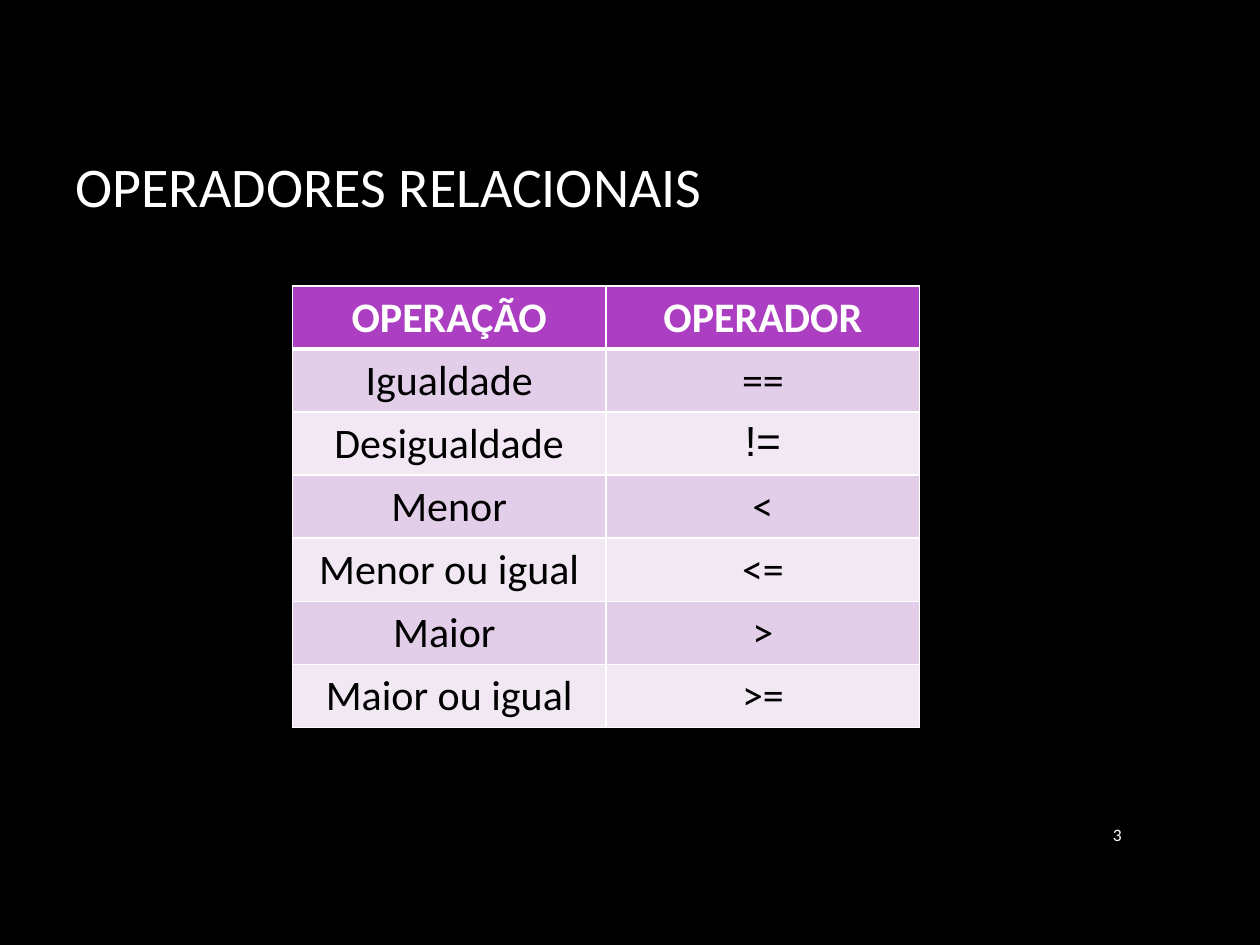
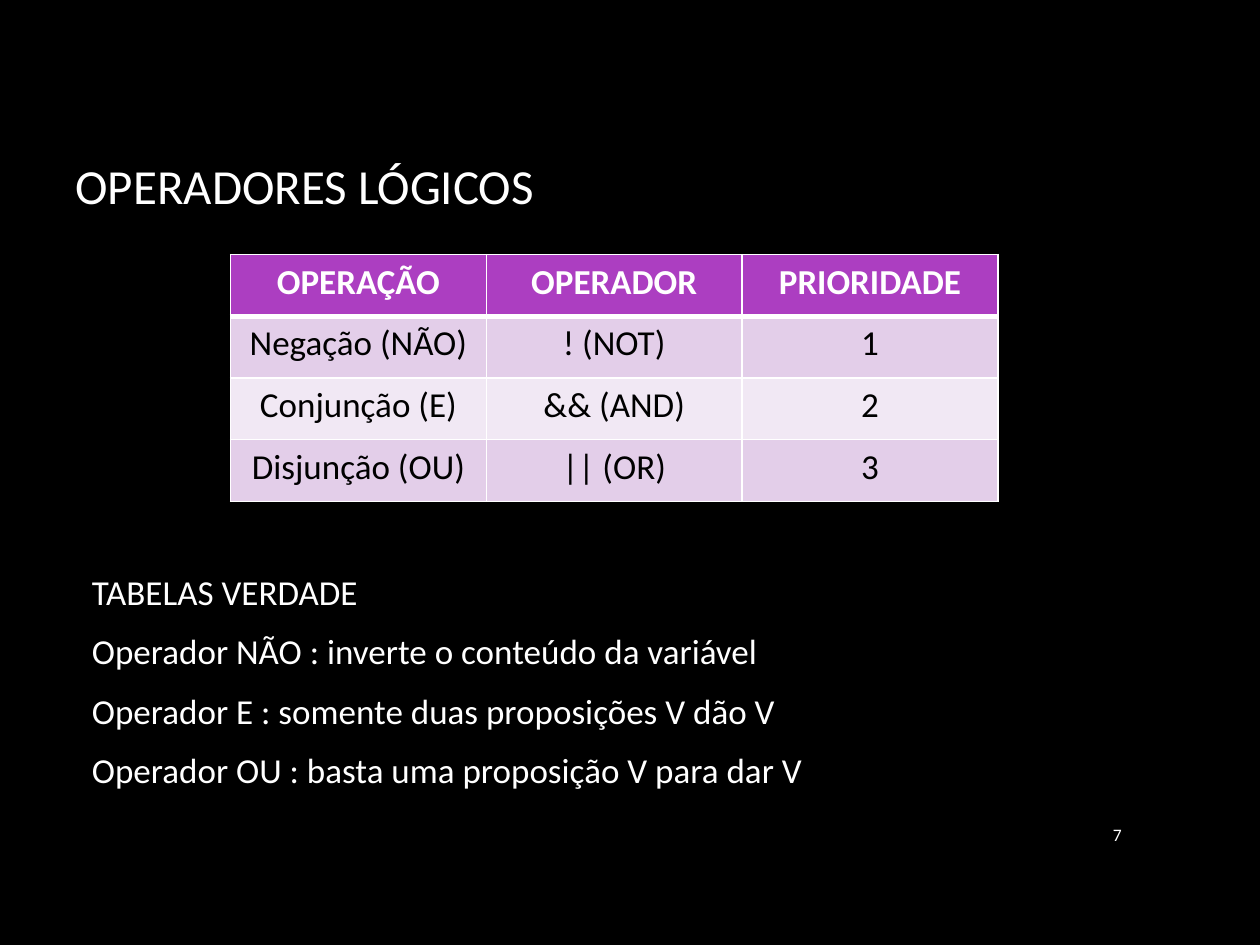
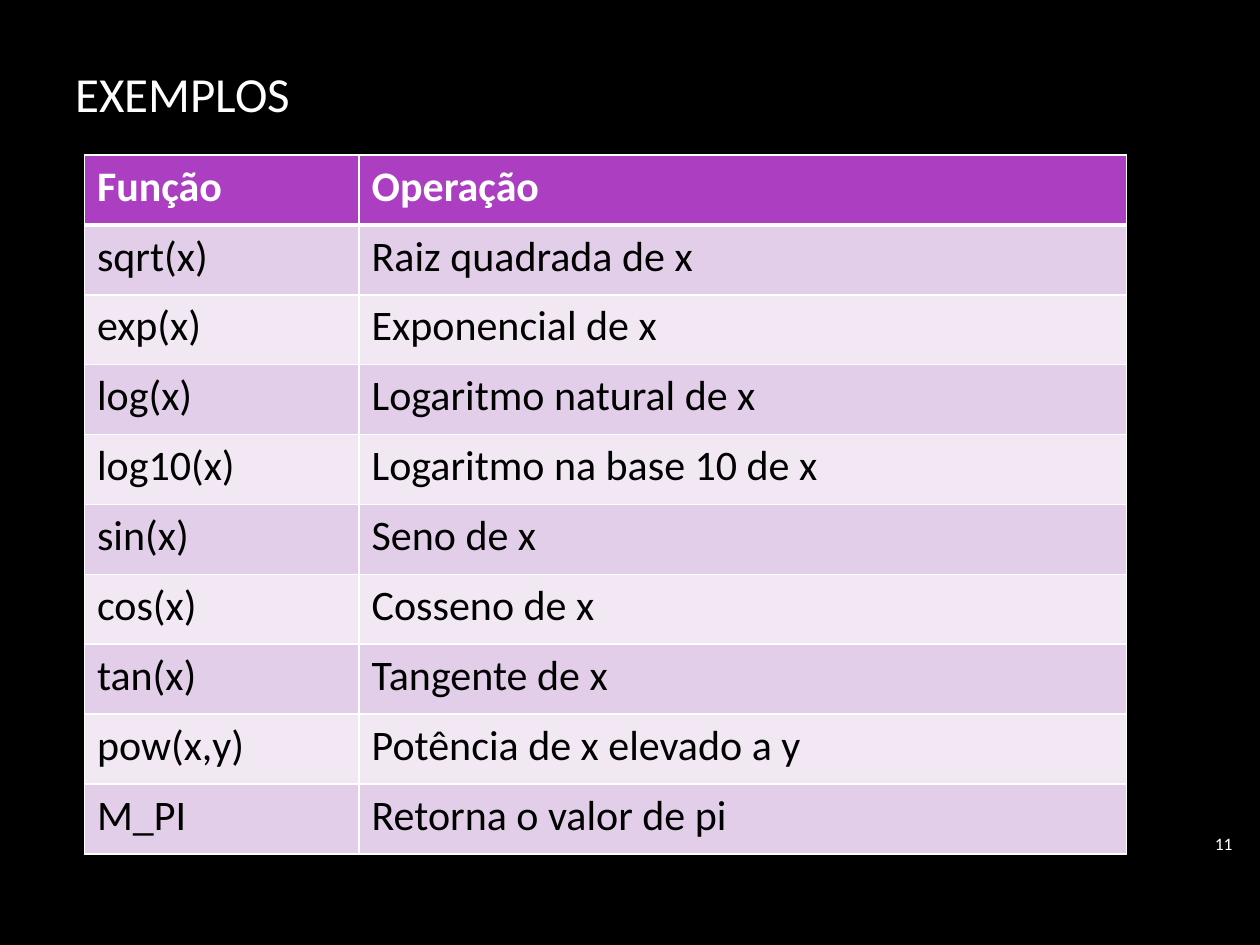
from lxml import etree
from pptx import Presentation
from pptx.dml.color import RGBColor
from pptx.enum.text import MSO_ANCHOR, PP_ALIGN
from pptx.oxml.ns import qn
from pptx.util import Inches, Pt

# Shared look
FONT = "Calibri"
BLACK, WHITE = "000000", "FFFFFF"
HEADER_FILL = "AC3EC1"
BAND_FILLS = ("E3CEE9", "F1E8F4")
GRID_PT, HEADER_RULE_PT = 1, 3
TITLE_BOX = (0.5, 0.67, 8.5, 1.59)


def rgb(value):
    return RGBColor.from_string(value)


def add_run(p, text, size, color=WHITE, bold=False, font=FONT):
    r = p.add_run()
    r.text = text
    r.font.name = font
    r.font.size = Pt(size)
    r.font.bold = bold
    r.font.color.rgb = rgb(color)


def add_slide(prs, title, size=28, box=TITLE_BOX):
    s = prs.slides.add_slide(prs.slide_layouts[5])
    sp = s.shapes.title
    sp.left, sp.top, sp.width, sp.height = map(Inches, box)
    tf = sp.text_frame
    tf.vertical_anchor = MSO_ANCHOR.MIDDLE
    p = tf.paragraphs[0]
    p.alignment = PP_ALIGN.LEFT
    add_run(p, title, size)
    return s


def add_text_box(s, box):
    tf = s.shapes.add_textbox(*map(Inches, box)).text_frame
    tf.word_wrap = True
    tf.vertical_anchor = MSO_ANCHOR.MIDDLE
    return tf


def add_page_number(s, number, left=8.54, top=6.42):
    p = add_text_box(s, (left, top, 0.46, 0.41)).paragraphs[0]
    p.alignment = PP_ALIGN.RIGHT
    add_run(p, str(number), 10)


def add_paragraphs(s, lines, box, size):
    tf = add_text_box(s, box)
    for i, line in enumerate(lines):
        p = tf.add_paragraph() if i else tf.paragraphs[0]
        p.space_after = Pt(10)
        pPr = p._p.get_or_add_pPr()
        pPr.set("marL", "0")
        pPr.set("indent", str(Inches(0.04)))
        add_run(p, line, size)


def set_borders(cell, top, bottom):
    """Draw white cell edges; the fill must come after them in the XML."""
    tcPr = cell._tc.get_or_add_tcPr()
    widths = {"a:lnL": GRID_PT, "a:lnR": GRID_PT, "a:lnT": top, "a:lnB": bottom}
    for i, (tag, width) in enumerate(widths.items()):
        ln = etree.Element(qn(tag), w=str(Pt(width)))
        fill = etree.SubElement(ln, qn("a:solidFill"))
        etree.SubElement(fill, qn("a:srgbClr"), val=WHITE)
        tcPr.insert(i, ln)


def add_grid(s, rows, left, top, col_widths, row_height, size,
             align=PP_ALIGN.CENTER, fonts=None):
    """Add a banded table; fonts maps a cell text to a font other than FONT."""
    fonts = fonts or {}
    table = s.shapes.add_table(
        len(rows), len(col_widths), Inches(left), Inches(top),
        Inches(sum(col_widths)), Inches(row_height * len(rows))).table
    table.horz_banding = False
    for column, width in zip(table.columns, col_widths):
        column.width = Inches(width)
    for i, row in enumerate(rows):
        header = i == 0
        table.rows[i].height = Inches(row_height)
        for j, text in enumerate(row):
            cell = table.cell(i, j)
            cell.fill.solid()
            fill = HEADER_FILL if header else BAND_FILLS[(i - 1) % 2]
            cell.fill.fore_color.rgb = rgb(fill)
            set_borders(cell,
                        top=HEADER_RULE_PT if i == 1 else GRID_PT,
                        bottom=HEADER_RULE_PT if header else GRID_PT)
            p = cell.text_frame.paragraphs[0]
            p.alignment = align
            add_run(p, text, size, WHITE if header else BLACK, header,
                    fonts.get(text, FONT))


def relational_operators(prs):
    s = add_slide(prs, "OPERADORES RELACIONAIS", size=32)
    add_page_number(s, 3)
    rows = [
        ("OPERAÇÃO", "OPERADOR"),
        ("Igualdade", "=="),
        ("Desigualdade", "!="),
        ("Menor", "<"),
        ("Menor ou igual", "<="),
        ("Maior ", ">"),
        ("Maior ou igual", ">="),
    ]
    add_grid(s, rows, 2.32, 2.27, [2.49] * 2, 0.5, 24, fonts={"!=": "Arial"})


def logical_operators(prs):
    s = add_slide(prs, "OPERADORES LÓGICOS")
    lines = [
        "TABELAS VERDADE",
        "Operador NÃO : inverte o conteúdo da variável",
        "Operador E : somente duas proposições V dão V",
        "Operador OU : basta uma proposição V para dar V",
    ]
    add_paragraphs(s, lines, (0.59, 4.13, 8.82, 2.54), 20)
    add_page_number(s, 7)
    rows = [
        ("OPERAÇÃO", "OPERADOR", "PRIORIDADE"),
        ("Negação (NÃO)", "! (NOT)", "1"),
        ("Conjunção (E)", "&& (AND)", "2"),
        ("Disjunção (OU)", "|| (OR)", "3"),
    ]
    add_grid(s, rows, 1.83, 2.02, [2.03] * 3, 0.49, 20)


def function_examples(prs):
    s = add_slide(prs, "EXEMPLOS", box=(0.5, 0.29, 8.5, 0.9))
    rows = [
        ("Função", "Operação"),
        ("sqrt(x)", "Raiz quadrada de x"),
        ("exp(x)", "Exponencial de x"),
        ("log(x)", "Logaritmo natural de x"),
        ("log10(x)", "Logaritmo na base 10 de x"),
        ("sin(x)", "Seno de x"),
        ("cos(x)", "Cosseno de x"),
        ("tan(x)", "Tangente de x"),
        ("pow(x,y)", "Potência de x elevado a y"),
        ("M_PI", "Retorna o valor de pi"),
    ]
    add_grid(s, rows, 0.67, 1.23, [2.18, 6.09], 0.555, 24, PP_ALIGN.LEFT)
    add_page_number(s, 11, left=9.42, top=6.49)


def main():
    prs = Presentation()
    prs.slide_width, prs.slide_height = Inches(10), Inches(7.5)
    # Black background for every slide
    fill = prs.slide_master.background.fill
    fill.solid()
    fill.fore_color.rgb = rgb(BLACK)

    relational_operators(prs)
    logical_operators(prs)
    function_examples(prs)
    prs.save("out.pptx")


main()
